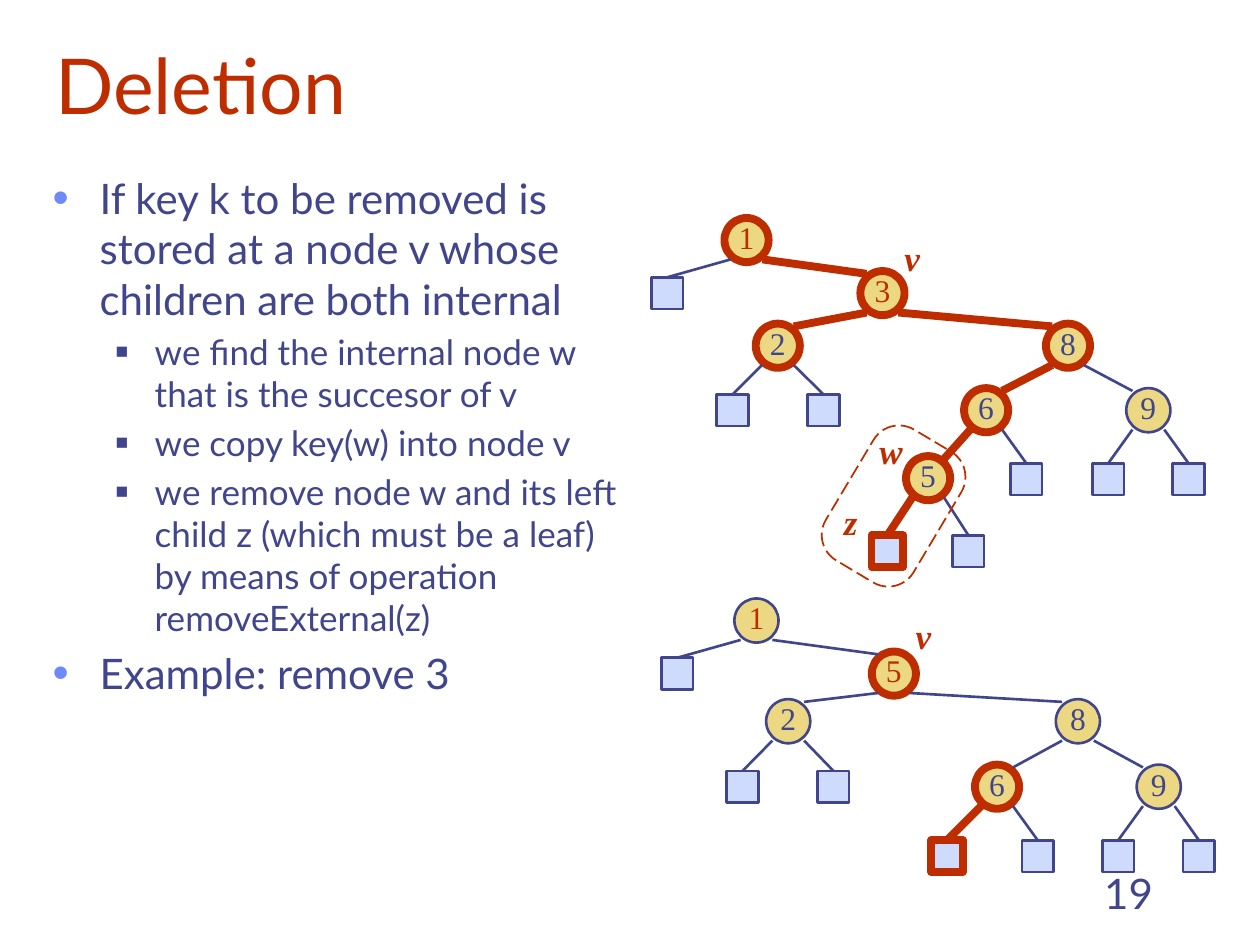
from lxml import etree
from pptx import Presentation
from pptx.dml.color import RGBColor
from pptx.enum.dml import MSO_LINE as Dash
from pptx.enum.shapes import MSO_CONNECTOR as Link, MSO_SHAPE as Kind
from pptx.enum.text import MSO_ANCHOR as Anchor, PP_ALIGN as Align
from pptx.oxml.ns import qn
from pptx.util import Cm, Pt

hue = RGBColor.from_string
RED, BLUE, SKY, GOLD, LILAC = "BE2D00", "40458C", "CFDBFD", "ECD882", "6F89F7"
SERIF = "Times New Roman"


def write(par, text, size=24, font="Lato", color=BLUE, bold=False, slant=False,
          align=Align.LEFT):
    par.alignment = align
    run = par.add_run()
    run.text = text
    face = run.font
    face.size, face.name, face.bold, face.italic = Pt(size), font, bold, slant
    face.color.rgb = hue(color)


def trim(item, hot):
    item.line.color.rgb = hue(RED if hot else BLUE)
    item.line.width = Pt(4.5 if hot else 1.5)


deck = Presentation()
deck.slide_width, deck.slide_height = Cm(25.4), Cm(19.05)
slide = deck.slides.add_slide(deck.slide_layouts[6])
shapes = slide.shapes

# Title, page number and node labels: text, left, top, width, height, wrap, format
mark = dict(size=20, font=SERIF, color=RED, bold=True, slant=True)
notes = [
    ("Deletion", 0.86, -0.43, 21.59, 3.17, True, dict(size=44, color=RED)),
    ("19", 18.21, 17.35, 5.28, 1.27, True, dict(align=Align.RIGHT)),
    ("v", 17.98, 4.65, 0.81, 1.09, False, mark),
    ("w", 17.48, 8.53, 0.99, 1.09, False, mark),
    ("z", 16.76, 9.96, 0.79, 1.09, False, mark),
    ("v", 18.21, 12.27, 0.81, 1.09, False, mark),
]
for text, x, y, w, h, wrap, form in notes:
    frame = shapes.add_textbox(Cm(x), Cm(y), Cm(w), Cm(h)).text_frame
    frame.word_wrap = wrap
    frame.vertical_anchor = Anchor.BOTTOM if wrap else Anchor.TOP
    write(frame.paragraphs[0], text, **form)

# Bulleted steps
steps = [
    (0, "If key k to be removed is stored at a node v whose children are both internal"),
    (1, "we find the internal node w that is the succesor of v"),
    (1, "we copy key(w) into node v"),
    (1, "we remove node w and its left child z (which must be a leaf) "
        "by means of operation removeExternal(z)"),
    (0, "Example: remove 3"),
]
# Per level: text size, margin, hang, bullet, bullet colour, bullet size
levels = [(24, 0.95, 0.95, "•", LILAC, 110), (20, 2.06, 0.79, "■", BLUE, 60)]
frame = shapes.add_textbox(Cm(0.81), Cm(3.35), Cm(12.12), Cm(13.39)).text_frame
frame.word_wrap = True
for n, (level, text) in enumerate(steps):
    size, left, hang, sign, color, scale = levels[level]
    par = frame.add_paragraph() if n else frame.paragraphs[0]
    par.level = level
    props = par._p.get_or_add_pPr()
    props.set("marL", str(Cm(left)))
    props.set("indent", str(-Cm(hang)))
    tint = etree.SubElement(props, qn("a:buClr"))
    etree.SubElement(tint, qn("a:srgbClr"), val=color)
    etree.SubElement(props, qn("a:buSzPct"), val=str(scale * 1000))
    etree.SubElement(props, qn("a:buFont"), typeface="Arial")
    etree.SubElement(props, qn("a:buChar"), char=sign)
    if n:
        par.space_before = Pt(size * 0.2)
    write(par, text, size=size)

# Trees before and after: key (empty for a leaf), parent row, centre, on the path
before = [
    ("1", None, 15.05, 4.84, True),
    ("3", 0, 17.79, 5.91, True),
    ("", 0, 13.45, 5.91, False),
    ("2", 1, 15.68, 6.97, True),
    ("8", 1, 21.53, 6.97, True),
    ("", 3, 14.77, 8.27, False),
    ("", 3, 16.6, 8.27, False),
    ("6", 4, 19.88, 8.27, True),
    ("9", 4, 23.15, 8.27, False),
    ("5", 7, 18.71, 9.64, True),
    ("", 7, 20.69, 9.66, False),
    ("", 8, 22.34, 9.66, False),
    ("", 8, 23.96, 9.66, False),
    ("", 9, 17.89, 11.11, True),
    ("", 9, 19.52, 11.11, False),
]
after = [
    ("1", None, 15.25, 12.51, False),
    ("5", 0, 18.02, 13.58, True),
    ("", 0, 13.65, 13.58, False),
    ("2", 1, 15.89, 14.54, False),
    ("8", 1, 21.73, 14.54, False),
    ("", 3, 14.97, 15.86, False),
    ("", 3, 16.8, 15.86, False),
    ("6", 4, 20.1, 15.86, True),
    ("9", 4, 23.36, 15.86, False),
    ("", 7, 19.09, 17.26, True),
    ("", 7, 20.92, 17.26, False),
    ("", 8, 22.54, 17.26, False),
    ("", 8, 24.17, 17.26, False),
]
DX, DY = 0.32, 0.39  # where an edge meets a circle, from its centre
for tree in (before, after):
    for n, (key, up, x, y, hot) in enumerate(tree):
        # Node
        size = 0.89 if key else 0.64
        node = shapes.add_shape(Kind.OVAL if key else Kind.RECTANGLE,
                                Cm(x - size / 2), Cm(y - size / 2), Cm(size), Cm(size))
        node.shadow.inherit = False
        node.fill.solid()
        node.fill.fore_color.rgb = hue(GOLD if key else SKY)
        trim(node, hot)
        if key:
            frame = node.text_frame
            frame.word_wrap = False
            frame.vertical_anchor = Anchor.MIDDLE
            frame.margin_left = frame.margin_right = frame.margin_top = 0
            frame.margin_bottom = Cm(0.13)
            write(frame.paragraphs[0], key, size=18, font=SERIF,
                  color=RED if n < 2 else BLUE, align=Align.CENTER)
        if up is None:
            continue
        # Edge from the parent
        _, _, px, py, warm = tree[up]
        side = DX if x > px else -DX
        ex, ey = (x - side, y - DY) if key else (x, y - size / 2)
        edge = shapes.add_connector(Link.STRAIGHT, Cm(px + side), Cm(py + DY),
                                    Cm(ex), Cm(ey))
        if not key:
            edge.end_connect(node, 0)
        trim(edge, hot and warm)
        etree.SubElement(edge._element.spPr, qn("a:effectLst"))

# Dashed ring round the removed nodes
ring = shapes.add_shape(Kind.ROUNDED_RECTANGLE, Cm(16.48), Cm(9.17), Cm(3.07), Cm(2.06))
ring.shadow.inherit = False
ring.adjustments[0] = 0.29
ring.rotation = 300.8
ring.fill.background()
ring.line.color.rgb = hue(RED)
ring.line.width = Pt(1)
ring.line.dash_style = Dash.LONG_DASH

deck.save("out.pptx")
